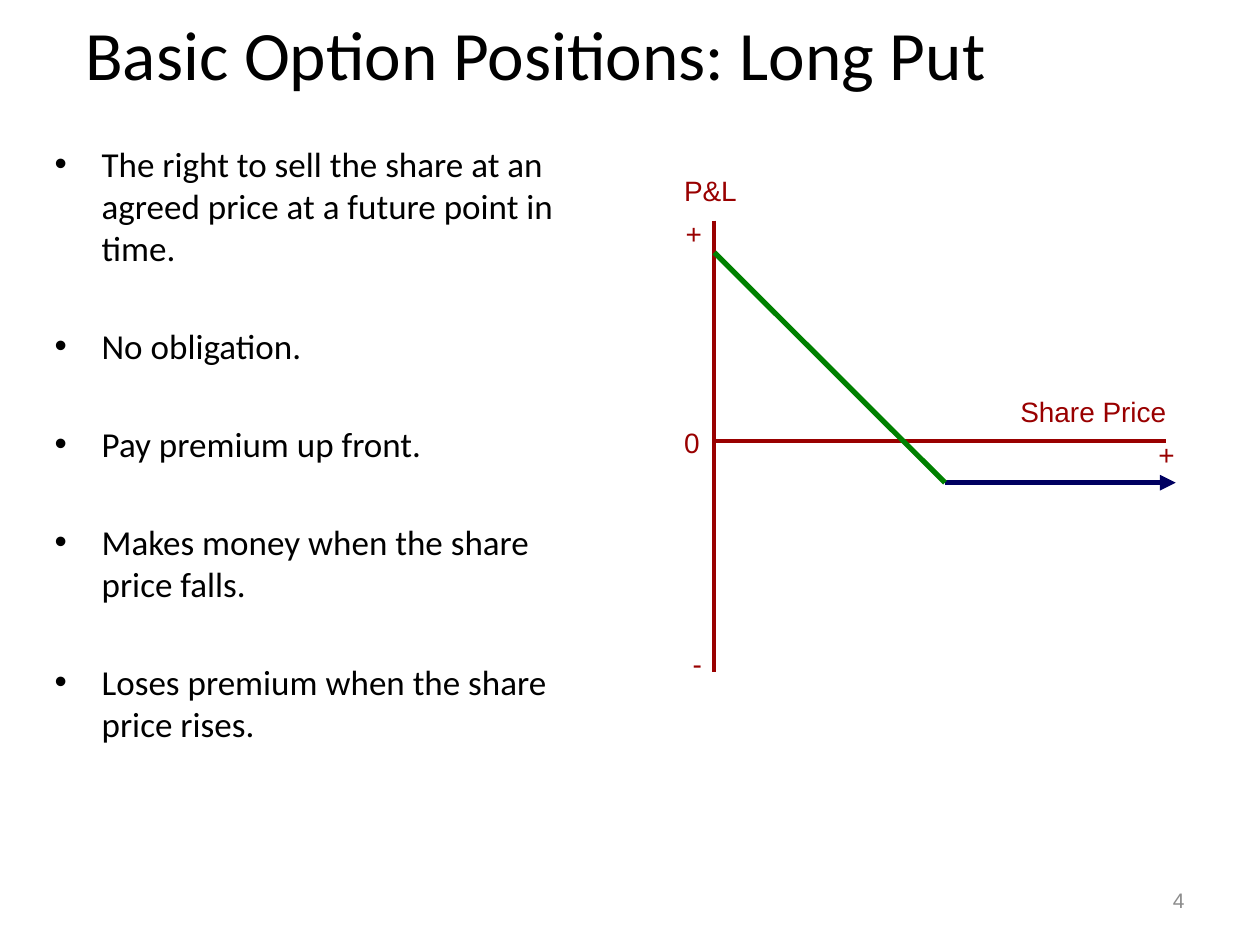
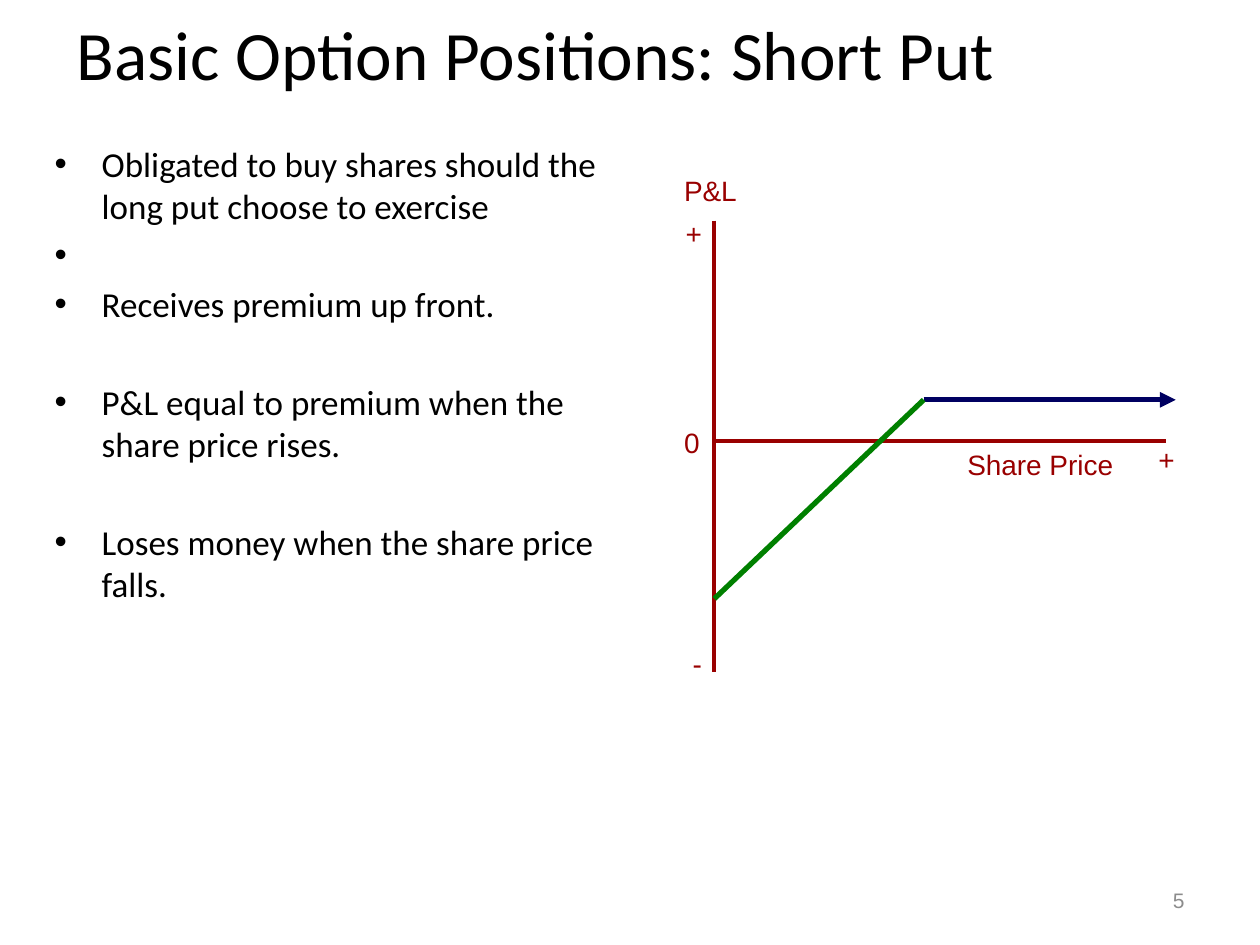
from lxml import etree
from pptx import Presentation
from pptx.dml.color import RGBColor
from pptx.enum import shapes, text
from pptx.oxml import ns
from pptx.util import Cm, Pt

HUES = {"ink": "000000", "axis": "990000", "flat": "000061",
        "slope": "008000", "page": "8C8C8C"}
ALIGN = text.PP_ALIGN
STYLES = {
    "title": {"name": "Calibri", "size": Pt(39.6), "hue": "ink"},
    "body": {"name": "Calibri", "size": Pt(20), "hue": "ink"},
    "label": {"name": "Arial", "size": Pt(16), "hue": "axis"},
    "page": {"name": "Arial", "size": Pt(12), "hue": "page"},
}
TITLE = (0.64, 0, 20.32, 2.12)
BODY = (0.85, 2.75, 11.43, 14.82)
PAGE = (18.2, 17.65, 5.93, 1.01)
GRAPH = (14.4, 4.45, 9.1, 9.1)
LABEL_H = 0.94
WIDE, TIGHT = 32, 4

# Graph points and label corners are in cm from the graph's top left corner.
SLIDES = [
    {"page": 4, "title": "Basic Option Positions: Long Put",
     "points": ["The right to sell the share at an agreed price at a future point in time.",
                "No obligation.",
                "Pay premium up front.",
                "Makes money when the share price falls.",
                "Loses premium when the share price rises."],
     "start": 0.64, "kink": (4.65, 5.28), "price": (5.92, 3.38), "plus": 4.24},
    {"page": 5, "title": "Basic Option Positions: Short Put",
     "points": ["Obligated to buy shares should the long put choose to exercise",
                " ",
                "Receives premium up front.",
                "P&L equal to premium when the share price rises.",
                "Loses money when the share price falls."],
     "start": 7.62, "kink": (4.22, 3.61), "price": (4.85, 4.45), "plus": 4.34},
]


def color(key):
    return RGBColor.from_string(HUES[key])


def style(para, kind):
    for key, value in STYLES[kind].items():
        if key == "hue":
            para.font.color.rgb = color(value)
        else:
            setattr(para.font, key, value)


def frame(slide, box, anchor=text.MSO_ANCHOR.TOP):
    """Add a wrapping text box and return its text frame."""
    area = slide.shapes.add_textbox(*map(Cm, box)).text_frame
    area.word_wrap = True
    area.vertical_anchor = anchor
    return area


def write(slide, box, words, kind, align=ALIGN.LEFT, anchor=text.MSO_ANCHOR.TOP):
    """Add a text box that holds one styled paragraph."""
    para = frame(slide, box, anchor).paragraphs[0]
    para.text = words
    para.alignment = align
    style(para, kind)


def bullets(slide, box, points):
    area = frame(slide, box)
    last = None
    for words in points:
        para = area.paragraphs[0] if last is None else area.add_paragraph()
        para.text = words
        props = para._p.get_or_add_pPr()
        props.set("marL", str(Cm(0.95)))
        props.set("indent", str(-Cm(0.95)))
        if last is not None:
            para.space_before = Pt(WIDE if words.strip() and last.strip() else TIGHT)
        etree.SubElement(props, ns.qn("a:buFont")).set("typeface", "Arial")
        etree.SubElement(props, ns.qn("a:buChar")).set("char", "•")
        style(para, "body")
        last = words


def line(slide, box, start, end, hue, width, arrow=False):
    """Draw a line between two points given relative to the box."""
    ends = [Cm(box[i % 2] + v) for i, v in enumerate((*start, *end))]
    item = slide.shapes.add_connector(shapes.MSO_CONNECTOR.STRAIGHT, *ends)
    item.line.color.rgb = color(hue)
    item.line.width = Pt(width)
    if arrow:
        tail = etree.SubElement(item.line._get_or_add_ln(), ns.qn("a:tailEnd"))
        tail.set("type", "triangle")
    etree.SubElement(item._element.spPr, ns.qn("a:effectLst"))


def graph(slide, box, data):
    """Draw the axes, the payoff and the labels."""
    left, top, width, height = box
    zero = 4.44
    kink = data["kink"]
    line(slide, box, (0, 0), (0, height), "axis", 2.25)
    line(slide, box, (width, zero), (0, zero), "axis", 2.25)
    line(slide, box, kink, (9.3, kink[1]), "flat", 3, arrow=True)
    line(slide, box, kink, (0, data["start"]), "slope", 3)

    for words, (x, y), wide in (("P&L", (-0.86, -1.07), 1.7),
                                ("Share Price", data["price"], 3.81),
                                ("0", (-0.86, 4.01), 2.34)):
        write(slide, (left + x, top + y, wide, LABEL_H), words, "label")
    sign = 1.07
    for words, right, y in (("+", 9.53, data["plus"]), ("+", 0, -0.2), ("-", 0, 8.46)):
        write(slide, (left + right - sign, top + y, sign, LABEL_H),
              words, "label", ALIGN.RIGHT)


def build(deck, data):
    slide = deck.slides.add_slide(deck.slide_layouts[6])
    middle = text.MSO_ANCHOR.MIDDLE
    write(slide, TITLE, data["title"], "title", ALIGN.CENTER, middle)
    bullets(slide, BODY, data["points"])
    write(slide, PAGE, str(data["page"]), "page", ALIGN.RIGHT, middle)
    graph(slide, GRAPH, data)


def main():
    deck = Presentation()
    deck.slide_width, deck.slide_height = Cm(25.4), Cm(19.05)
    for data in SLIDES:
        build(deck, data)
    deck.save("out.pptx")


if __name__ == "__main__":
    main()
